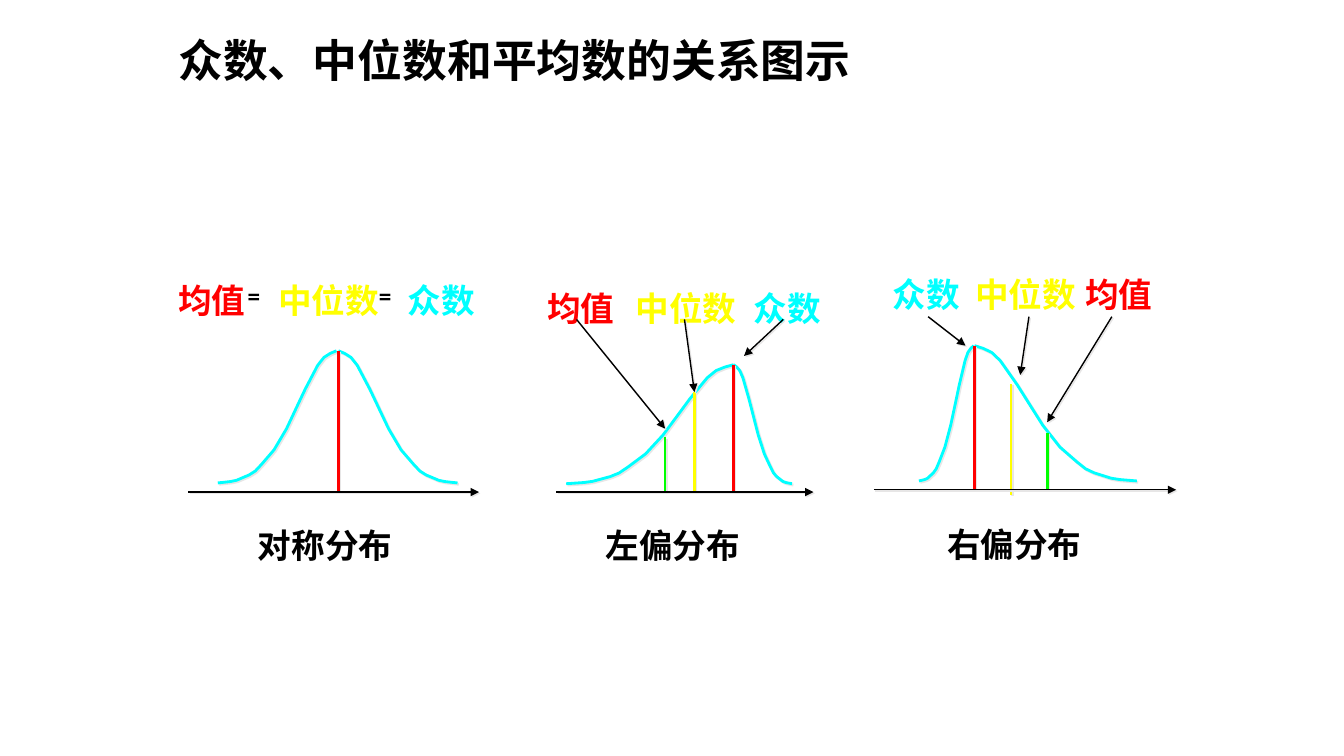
from lxml import etree
from pptx import Presentation
from pptx.dml.color import RGBColor
from pptx.enum.shapes import MSO_CONNECTOR
from pptx.enum.text import MSO_ANCHOR, MSO_AUTO_SIZE, PP_ALIGN
from pptx.oxml.ns import qn
from pptx.util import Cm, Pt

STRAIGHT = MSO_CONNECTOR.STRAIGHT
MIDDLE = MSO_ANCHOR.MIDDLE
FIT_SHAPE = MSO_AUTO_SIZE.SHAPE_TO_FIT_TEXT
LEFT = PP_ALIGN.LEFT

BLACK, RED, YELLOW, GREEN, CYAN = "000000", "FF0000", "FFFF00", "00FF00", "00FFFF"
SHADOW = "E7E6E6"
TERM_COLOURS = {"均值": RED, "中位数": YELLOW, "众数": CYAN}

# Half a bell, from its foot to its peak: steps across (of 19), share of the height
BELL_STEPS = [0, 2, 3, 4, 5, 6, 7, 9, 11, 13, 14, 15, 16, 17, 18, 19]
BELL_HEIGHTS = [0, 0.01, 0.02, 0.04, 0.06, 0.09, 0.14, 0.25,
                0.41, 0.61, 0.71, 0.8, 0.89, 0.95, 0.98, 1]

# All lengths in cm. Labels: (text, left). Bars: (x, top, bottom, colour).
# Arrows: (x1, y1, x2, y2). Axis: (left, right, y).
# Bell: (left foot, left peak, right peak, right foot, top, base).
DISTRIBUTIONS = [
    dict(caption=("对称分布", 6.25, 13.11), label_top=6.93,
         labels=[("均值", 4.24), ("=", 5.99), ("中位数", 6.76), ("=", 9.3), ("众数", 10.03)],
         bell=(5.49, 8.48, 8.53, 11.53, 8.84, 12.17),
         bars=[(8.53, 8.84, 12.4, RED)],
         arrows=[], axis=(4.75, 12.07, 12.4)),
    dict(caption=("左偏分布", 15.01, 13.11), label_top=7.14,
         labels=[("均值", 13.54), ("中位数", 15.77), ("众数", 18.75)],
         bell=(14.27, 18.49, 18.49, 19.96, 9.19, 12.19),
         bars=[(18.49, 9.19, 12.4, RED), (17.5, 9.88, 12.4, YELLOW),
               (16.76, 11.02, 12.4, GREEN)],
         arrows=[(19.74, 8.05, 18.75, 8.97), (17.25, 8.05, 17.5, 9.88),
                 (14.53, 8.05, 16.76, 10.8)],
         axis=(14.02, 20.5, 12.4)),
    dict(caption=("右偏分布", 23.62, 13.08), label_top=6.78,
         labels=[("众数", 22.25), ("中位数", 24.33), ("均值", 27.1)],
         bell=(23.16, 24.54, 24.56, 28.65, 8.71, 12.12),
         bars=[(24.56, 8.71, 12.34, RED), (25.48, 9.68, 12.47, YELLOW),
               (26.39, 10.9, 12.34, GREEN)],
         arrows=[(23.39, 7.98, 24.33, 8.71), (25.93, 7.98, 25.71, 9.45),
                 (28.02, 7.98, 26.39, 10.64)],
         axis=(22.02, 29.64, 12.34)),
]


def colour(hex_string):
    return RGBColor.from_string(hex_string)


class SlideDrawer:
    """Holds the slide, the group being filled and the common style."""

    font_name = "Calibri"

    def __init__(self, slide):
        self.slide = slide
        self.shapes = slide.shapes

    def start_group(self):
        self.shapes = self.slide.shapes.add_group_shape().shapes

    def style_text(self, paragraph, size, hex_string):
        font = paragraph.font
        font.name, font.size, font.bold = self.font_name, Pt(size), True
        font.color.rgb = colour(hex_string)

    def style_line(self, shape, hex_string, width):
        shape.line.color.rgb = colour(hex_string)
        shape.line.width = Pt(width)
        effects = etree.SubElement(shape.element.spPr, qn("a:effectLst"))
        shadow = etree.SubElement(effects, qn("a:outerShdw"),
                                  dist=str(Pt(1.4)), dir="2700000", algn="ctr", rotWithShape="0")
        etree.SubElement(shadow, qn("a:srgbClr"), val=SHADOW)

    def title(self, text, left, top, width, height):
        title = self.slide.shapes.title
        title.left, title.top, title.width, title.height = map(Cm, (left, top, width, height))
        title.text_frame.text = text
        title.text_frame.vertical_anchor = MIDDLE
        paragraph = title.text_frame.paragraphs[0]
        paragraph.alignment = LEFT
        paragraph.line_spacing = 0.9
        self.style_text(paragraph, 32, BLACK)

    def label(self, text, left, top):
        is_sign = text == "="
        width, height = (0.97, 1.02) if is_sign else (0.52 + 0.85 * len(text), 1.27)
        box = self.shapes.add_textbox(Cm(left), Cm(top), Cm(width), Cm(height))
        frame = box.text_frame
        frame.word_wrap = False
        frame.auto_size = FIT_SHAPE
        frame.text = text
        self.style_text(frame.paragraphs[0], 18 if is_sign else 24,
                        TERM_COLOURS.get(text, BLACK))

    def line(self, x1, y1, x2, y2, hex_string, width):
        line = self.shapes.add_connector(STRAIGHT, Cm(x1), Cm(y1), Cm(x2), Cm(y2))
        self.style_line(line, hex_string, width)
        return line

    def arrow(self, x1, y1, x2, y2):
        arrow = self.line(x1, y1, x2, y2, BLACK, 1)
        outline = arrow.element.spPr.find(qn("a:ln"))
        etree.SubElement(outline, qn("a:tailEnd"), type="triangle")

    def half_bell(self, foot, peak, top, base):
        points = [(Cm(foot + (peak - foot) * step / BELL_STEPS[-1]),
                   Cm(base - (base - top) * share))
                  for step, share in zip(BELL_STEPS, BELL_HEIGHTS)]
        builder = self.shapes.build_freeform(*points[0])
        builder.add_line_segments(points[1:], close=False)
        curve = builder.convert_to_shape()
        curve.fill.background()
        self.style_line(curve, CYAN, 2)

    def distribution(self, caption, label_top, labels, bell, bars, arrows, axis):
        self.start_group()
        # Caption and names of the measures
        self.label(*caption)
        for text, left in labels:
            self.label(text, left, label_top)
        # Curve
        left_foot, left_peak, right_peak, right_foot, top, base = bell
        self.half_bell(right_foot, right_peak, top, base)
        self.half_bell(left_foot, left_peak, top, base)
        # Bars, pointers and axis
        for x, bar_top, bar_bottom, hex_string in bars:
            self.line(x, bar_top, x, bar_bottom, hex_string, 2)
        for pointer in arrows:
            self.arrow(*pointer)
        axis_left, axis_right, axis_y = axis
        self.arrow(axis_left, axis_y, axis_right, axis_y)


def main():
    presentation = Presentation()
    presentation.slide_width, presentation.slide_height = Cm(33.87), Cm(19.05)
    title_only = presentation.slide_layouts[5]
    drawer = SlideDrawer(presentation.slides.add_slide(title_only))
    drawer.title("众数、中位数和平均数的关系图示", 4.24, 0, 17.91, 3.18)
    for distribution in DISTRIBUTIONS:
        drawer.distribution(**distribution)
    presentation.save("out.pptx")


if __name__ == "__main__":
    main()
